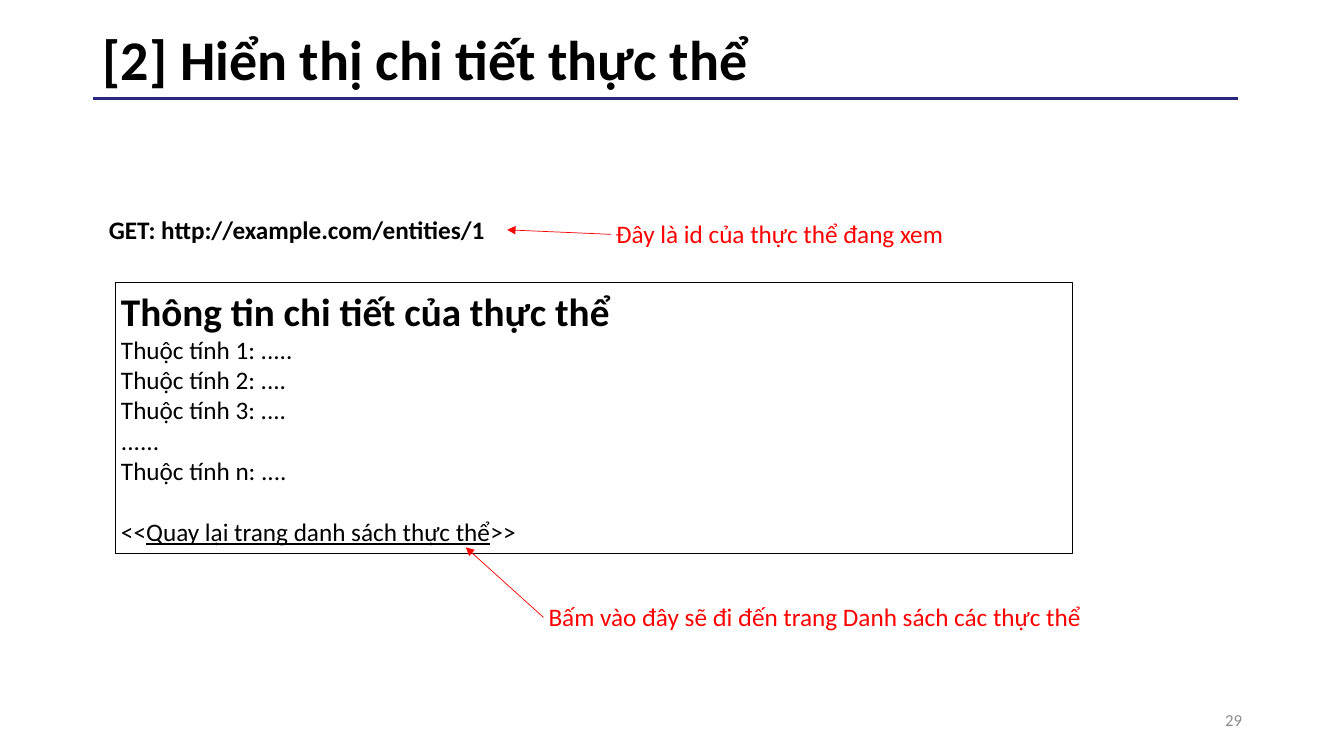
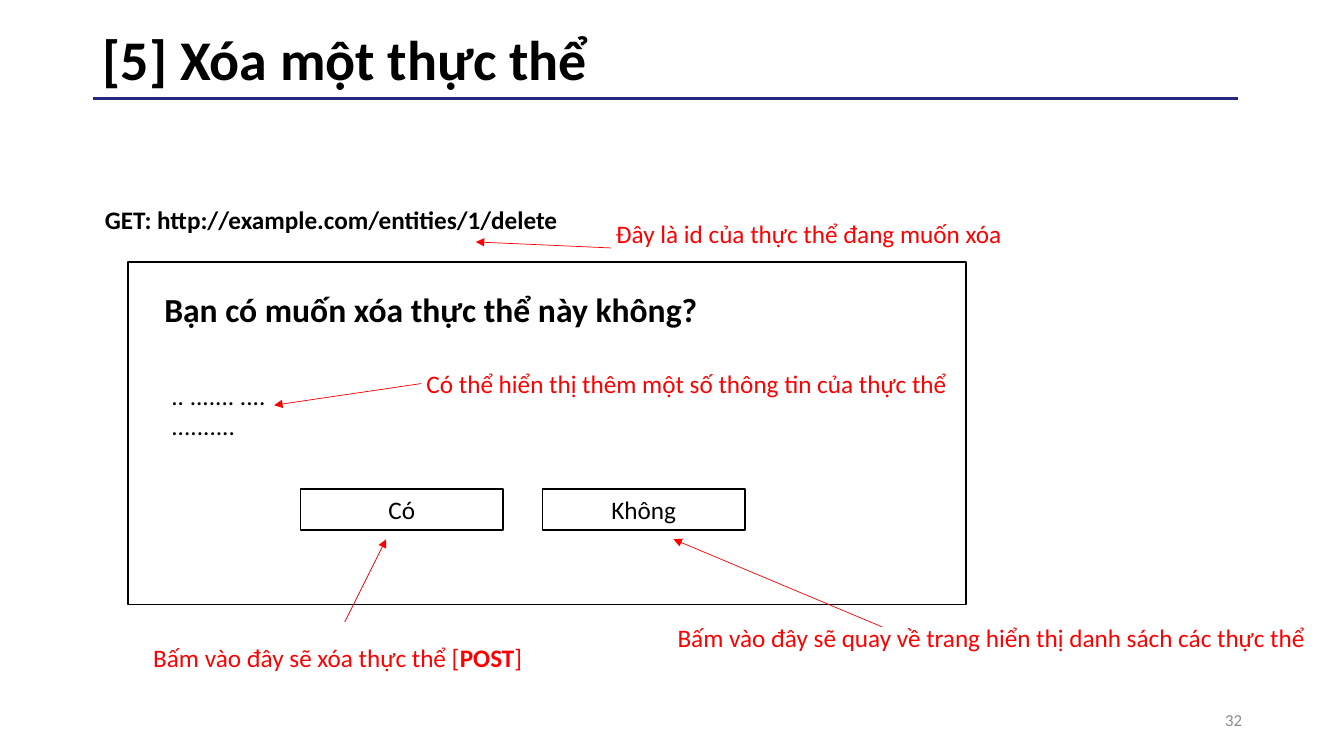
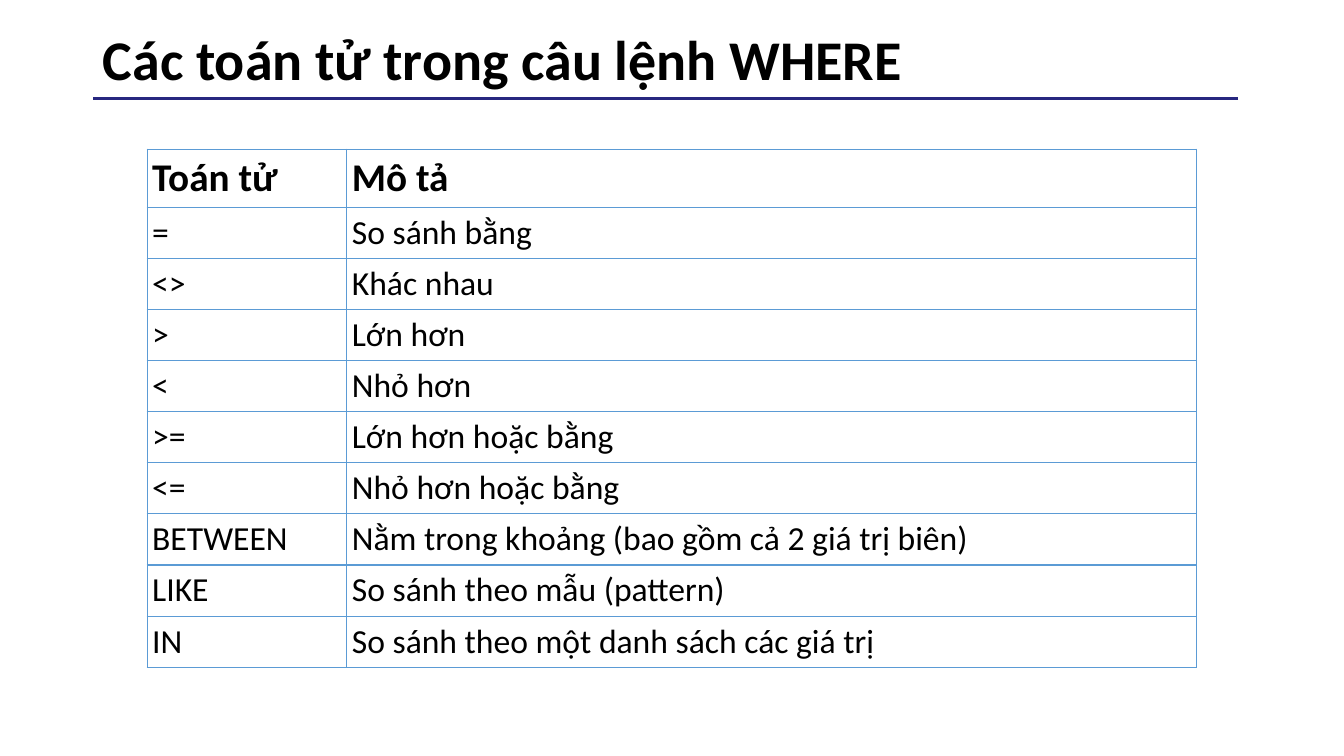
import pptx
import pptx.util
import pptx.dml.color
import pptx.enum.shapes
import pptx.enum.text
import pptx.oxml
import pptx.oxml.ns

Inches, Pt = pptx.util.Inches, pptx.util.Pt
RGBColor = pptx.dml.color.RGBColor
ALIGN, ANCHOR = pptx.enum.text.PP_ALIGN, pptx.enum.text.MSO_ANCHOR

BLACK = RGBColor(0, 0, 0)
WHITE = RGBColor(255, 255, 255)
RED = RGBColor(255, 0, 0)
NAVY = RGBColor(0x27, 0x27, 0x80)
GRAY = RGBColor(0x8C, 0x8C, 0x8C)
BLUE = RGBColor(0x5B, 0x9B, 0xD5)
FONT = "Calibri"
PAD = 0.05
LINE_H = 0.41


def sub(parent, tag, **attrs):
    """Append a DrawingML element with the given attributes."""
    e = pptx.oxml.parse_xml(f"<{tag} {pptx.oxml.ns.nsdecls('a')}/>")
    for name, value in attrs.items():
        e.set(name, str(value))
    parent.append(e)
    return e


def write(tf, text, size=18, color=BLACK, bold=False, align=ALIGN.LEFT, before=0):
    """Add a paragraph from a string or a list of (text, font attributes) runs."""
    p = tf.add_paragraph() if tf.text else tf.paragraphs[0]
    p.alignment = align
    p.space_before = Pt(before)
    for part, extra in [(text, {})] if isinstance(text, str) else text:
        r = p.add_run()
        r.text = part
        r.font.name, r.font.size, r.font.bold = FONT, Pt(size), bold
        r.font.color.rgb = color
        for name, value in extra.items():
            setattr(r.font, name, value)
    return p


def set_frame(tf, pad=PAD, anchor=ANCHOR.TOP):
    """Set wrapping, insets and anchor of a text frame."""
    tf.word_wrap = True
    tf.vertical_anchor = anchor
    tf.margin_left = tf.margin_right = tf.margin_top = tf.margin_bottom = Inches(pad)
    return tf


def label(s, x, y, w, text, h=LINE_H, **fmt):
    """Add a text box with one paragraph and return its frame."""
    tf = set_frame(s.shapes.add_textbox(Inches(x), Inches(y), Inches(w), Inches(h)).text_frame)
    write(tf, text, **fmt)
    return tf


def rect(s, x, y, w, h, fill=None, weight=1):
    """Add a black-edged rectangle and return its text frame."""
    sp = s.shapes.add_shape(pptx.enum.shapes.MSO_SHAPE.RECTANGLE,
                            Inches(x), Inches(y), Inches(w), Inches(h))
    sp.shadow.inherit = False
    if fill is None:
        sp.fill.background()
    else:
        sp.fill.solid()
        sp.fill.fore_color.rgb = fill
    sp.line.color.rgb, sp.line.width = BLACK, Pt(weight)
    return set_frame(sp.text_frame)


def line(s, start, end, color, weight, arrow=False):
    """Draw a straight line, with an arrowhead at its end if asked."""
    c = s.shapes.add_connector(pptx.enum.shapes.MSO_CONNECTOR.STRAIGHT,
                               *(Inches(v) for v in (*start, *end)))
    c.line.color.rgb, c.line.width = color, Pt(weight)
    if arrow:
        sub(c.line._get_or_add_ln(), "a:tailEnd", type="triangle")
    sub(c._element.spPr, "a:effectLst")


def note(s, x, y, w, text, tip, start=None):
    """Add a red remark with an arrow, by default from its left edge, to tip."""
    line(s, start or (x, y + LINE_H / 2), tip, RED, 0.5, arrow=True)
    label(s, x, y, w, text, color=RED)


def new_slide(prs, title, number=None):
    """Add a slide with the shared title, rule and page number."""
    s = prs.slides.add_slide(prs.slide_layouts[5])
    line(s, (12.28, 0.98), (0.92, 0.98), NAVY, 2)
    sp = s.shapes.title
    sp.left, sp.top, sp.width, sp.height = (Inches(v) for v in (0.92, 0.17, 11.5, 0.89))
    tf = set_frame(sp.text_frame, 0.1, ANCHOR.MIDDLE)
    write(tf, title, size=40, bold=True).line_spacing = 0.9
    if number:
        tf = label(s, 12.02, 7, 0.35, number, h=0.29, size=12, color=GRAY, align=ALIGN.RIGHT)
        tf.vertical_anchor = ANCHOR.MIDDLE
    return s


def detail_screen(s, x, y, w, h):
    """Sketch the page that shows one entity."""
    tf = rect(s, x, y, w, h, weight=0.75)
    write(tf, "Thông tin chi tiết của thực thể", size=28, bold=True)
    for row in ("Thuộc tính 1: .....", "Thuộc tính 2: ....", "Thuộc tính 3: ....",
                "......", "Thuộc tính n: ...."):
        write(tf, row)
    write(tf, [("<<", {}), ("Quay lại trang danh sách thực thể", {"underline": True}),
               (">>", {})], before=22)
    note(s, x + 4.24, y + h + 0.43, 6.61, "Bấm vào đây sẽ đi đến trang Danh sách các thực thể",
         tip=(x + 3.47, y + h - 0.06))


def delete_screen(s, x, y, w, h):
    """Sketch the page that asks to confirm a deletion."""
    rect(s, x, y, w, h)
    label(s, x + 0.31, y + 0.22, 6.36, "Bạn có muốn xóa thực thể này không?",
          h=0.5, size=24, bold=True)
    tf = label(s, x + 0.38, y + 1.12, 1.2, ".. ....... ....", h=0.68)
    write(tf, "..........")
    for i, answer in enumerate(("Có", "Không")):
        tf = rect(s, x + 1.71 + 2.4 * i, y + 2.25, 2.01, LINE_H, fill=WHITE)
        write(tf, answer, align=ALIGN.CENTER)
    tip_y = y + 2.75
    note(s, x + 0.2, y + h + 0.32, 4.23,
         [("Bấm vào đây sẽ xóa thực thể [", {}), ("POST", {"bold": True}), ("]", {})],
         tip=(x + 2.56, tip_y), start=(x + 2.15, y + h + 0.17))
    note(s, x + 5.4, y + h + 0.12, 6.6,
         "Bấm vào đây sẽ quay về trang hiển thị danh sách các thực thể",
         tip=(x + 5.41, tip_y), start=(x + 7.48, y + h + 0.22))
    note(s, x + w - 5.4, y + 1, 5.35, "Có thể hiển thị thêm một số thông tin của thực thể",
         tip=(x + 1.45, y + 1.42))


def operator_table(s, x, y, w, h, rows):
    """Add the bordered two-column table with a larger header row."""
    t = s.shapes.add_table(len(rows), 2, Inches(x), Inches(y), Inches(w), Inches(h)).table
    t.first_row = t.horz_banding = False
    t.columns[0].width, t.columns[1].width = Inches(1.98), Inches(w - 1.98)
    head_h = 0.57
    for i, texts in enumerate(rows):
        t.rows[i].height = Inches(head_h if i == 0 else (h - head_h) / (len(rows) - 1))
        for j, text in enumerate(texts):
            cell = t.cell(i, j)
            cell.margin_left = cell.margin_right = Inches(PAD)
            cell.margin_top = cell.margin_bottom = Inches(PAD)
            cell.vertical_anchor = ANCHOR.MIDDLE
            tcPr = cell._tc.get_or_add_tcPr()
            for side in "LRTB":
                ln = sub(tcPr, f"a:ln{side}", w=Pt(1))
                sub(sub(ln, "a:solidFill"), "a:srgbClr", val=BLUE)
            cell.fill.background()
            write(cell.text_frame, text, size=24 if i else 28, bold=i == 0)


prs = pptx.Presentation()
prs.slide_width, prs.slide_height = Inches(13.33), Inches(7.5)

s = new_slide(prs, "[2] Hiển thị chi tiết thực thể", "29")
label(s, 1.03, 2.08, 4.74, "GET: http://example.com/entities/1", bold=True)
note(s, 6.06, 2.12, 3.76, "Đây là id của thực thể đang xem", tip=(5.03, 2.28))
detail_screen(s, 1.15, 2.8, 9.49, 2.69)

s = new_slide(prs, "[5] Xóa một thực thể", "32")
delete_screen(s, 1.27, 2.6, 8.31, 3.4)
label(s, 0.99, 1.98, 4.74, "GET: http://example.com/entities/1/delete", bold=True)
note(s, 6.06, 2.12, 5.16, "Đây là id của thực thể đang muốn xóa", tip=(4.72, 2.4),
     start=(6.06, 2.46))

s = new_slide(prs, "Các toán tử trong câu lệnh WHERE")
operator_table(s, 1.46, 1.48, 10.41, 5.07, [
    ("Toán tử", "Mô tả"),
    ("=", "So sánh bằng"),
    ("<>", "Khác nhau"),
    (">", "Lớn hơn"),
    ("<", "Nhỏ hơn"),
    (">=", "Lớn hơn hoặc bằng"),
    ("<=", "Nhỏ hơn hoặc bằng"),
    ("BETWEEN", "Nằm trong khoảng (bao gồm cả 2 giá trị biên)"),
    ("LIKE", "So sánh theo mẫu (pattern)"),
    ("IN", "So sánh theo một danh sách các giá trị"),
])

prs.save("out.pptx")
